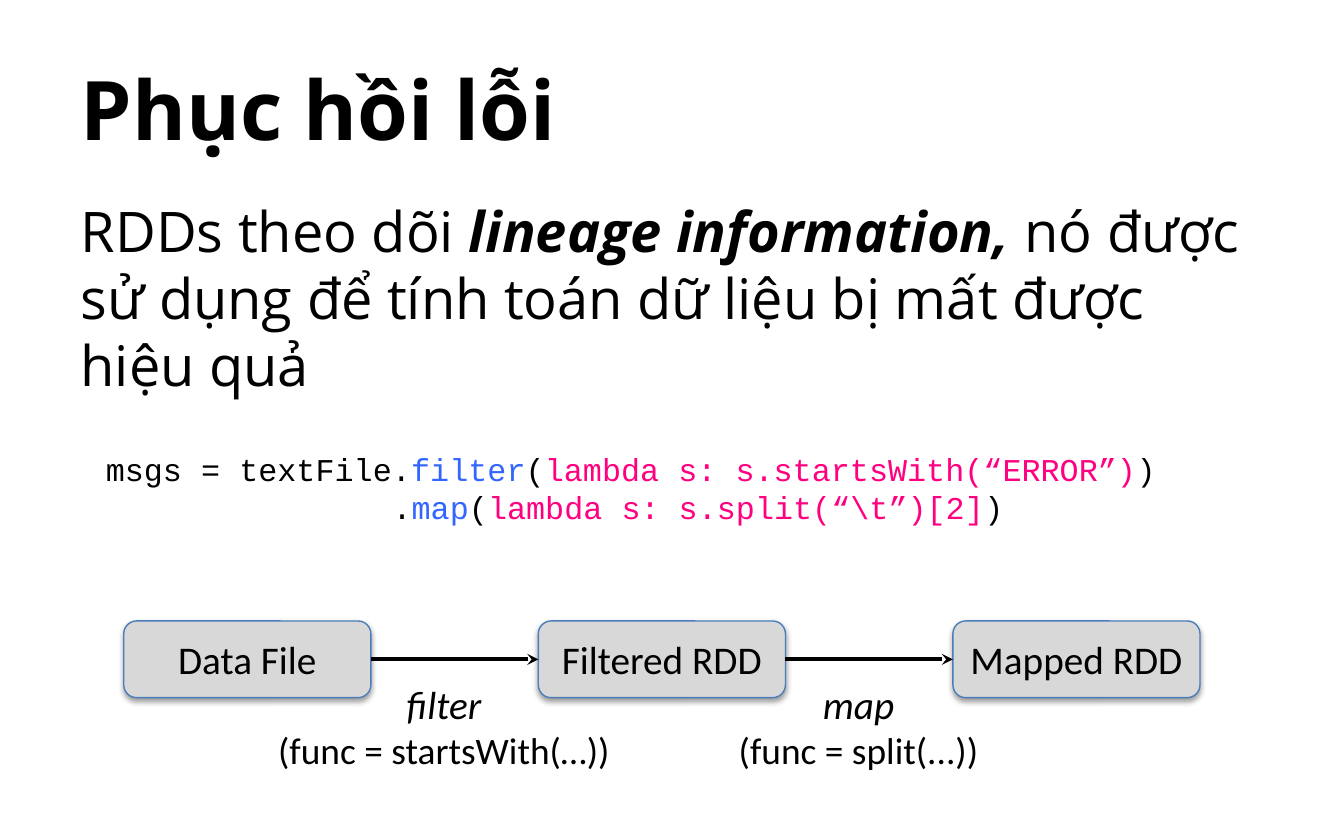
from pptx import Presentation
from pptx.dml.color import RGBColor as Rgb
from pptx.enum.shapes import MSO_CONNECTOR as Link, MSO_SHAPE as Form
from pptx.enum.text import MSO_ANCHOR as Anchor, MSO_AUTO_SIZE as Fit, PP_ALIGN as Align
from pptx.oxml import parse_xml
from pptx.oxml.ns import nsdecls
from pptx.util import Cm, Pt

BLACK, BLUE, PINK = "000000", "3366FF", "FF0080"


def color(code):
    return Rgb.from_string(code)


def style(run, size, face, code=BLACK, bold=False, slant=False):
    font = run.font
    font.size, font.name = Pt(size), face
    font.bold, font.italic = bold, slant
    font.color.rgb = color(code)


def place(shape, box):
    shape.left, shape.top, shape.width, shape.height = map(Cm, box)


def add_xml(node, tag, body=""):
    name = tag.split()[0]
    node.append(parse_xml(f"<a:{tag} {nsdecls('a')}>{body}</a:{name}>"))


def indent(para, left):
    props = para._p.get_or_add_pPr()
    props.set("marL", str(Cm(left)))
    props.set("indent", "0")
    return props


def add_title(slide, box):
    title = slide.shapes.title
    place(title, box)
    title.text_frame.text = "Phục hồi lỗi"
    title.text_frame.vertical_anchor = Anchor.MIDDLE
    para = title.text_frame.paragraphs[0]
    para.alignment = Align.LEFT
    style(para.runs[0], 44, "Open Sans", bold=True)


def add_body(slide, box):
    body = slide.placeholders[1]
    place(body, box)
    frame = body.text_frame
    frame.auto_size = Fit.NONE
    para = frame.paragraphs[0]
    para.space_before = Pt(0)
    add_xml(indent(para, 0), "buNone")
    parts = [
        ("RDDs theo dõi ", False),
        ("lineage information, ", True),
        ("nó được sử dụng để tính toán dữ liệu bị mất được hiệu quả", False),
    ]
    for text, strong in parts:
        run = para.add_run()
        run.text = text
        style(run, 30, "Open Sans", bold=strong, slant=strong)


def add_code(slide, box):
    frame = slide.shapes.add_textbox(*map(Cm, box)).text_frame
    frame.word_wrap = True
    lines = [
        (0, "msgs = textFile.", "filter", "lambda s: s.startsWith(“ERROR”)"),
        (5.42, ".", "map", "lambda s: s.split(“\\t”)[2]"),
    ]
    for row, (left, head, call, arg) in enumerate(lines):
        para = frame.add_paragraph() if row else frame.paragraphs[0]
        indent(para, left)
        parts = [(head, BLACK), (call, BLUE), ("(", BLACK), (arg, PINK), (")", BLACK)]
        for text, code in parts:
            run = para.add_run()
            run.text = text
            style(run, 17, "Courier New", code)


def add_node(slide, box, text):
    node = slide.shapes.add_shape(Form.ROUNDED_RECTANGLE, *map(Cm, box))
    node.fill.solid()
    node.fill.fore_color.rgb = color("D8D8D8")
    node.line.color.rgb = color("4A7DBA")
    node.line.width = Pt(0.75)
    node.shadow.inherit = False
    glow = node._element.spPr.find("{*}effectLst")
    add_xml(glow, 'outerShdw blurRad="40000" dist="20000" dir="5400000" rotWithShape="0"',
            f'<a:srgbClr val="{BLACK}"><a:alpha val="38000"/></a:srgbClr>')
    frame = node.text_frame
    frame.margin_left = frame.margin_right = 0
    frame.vertical_anchor = Anchor.MIDDLE
    frame.text = text
    para = frame.paragraphs[0]
    para.alignment = Align.CENTER
    style(para.runs[0], 21, "Calibri")
    return node


def add_arrow(slide, start, end):
    arrow = slide.shapes.add_connector(Link.STRAIGHT, 0, 0, 0, 0)
    arrow.begin_connect(start, 3)
    arrow.end_connect(end, 1)
    arrow.line.color.rgb = color(BLACK)
    arrow.line.width = Pt(2)
    add_xml(arrow.line._get_or_add_ln(), 'tailEnd type="stealth"')
    add_xml(arrow._element.spPr, "effectLst")


def add_label(slide, box, name, func):
    frame = slide.shapes.add_textbox(*map(Cm, box)).text_frame
    frame.word_wrap = True
    frame.text = f"{name}\v{func}"
    para = frame.paragraphs[0]
    para.alignment = Align.CENTER
    first, second = para.runs
    style(first, 21, "Calibri", slant=True)
    style(second, 20, "Calibri")


def add_flow(slide, box):
    left, top, width, high = box
    wide, tall = 4.67, 1.45
    names = ["Data File", "Filtered RDD", "Mapped RDD"]
    step = (width - wide) / (len(names) - 1)
    nodes = [add_node(slide, (left + i * step, top, wide, tall), name)
             for i, name in enumerate(names)]
    for start, end in zip(nodes, nodes[1:]):
        add_arrow(slide, start, end)
    labels = [("filter", "(func = startsWith(…))", 6.94), ("map", "(func = split(...))", 5.1)]
    for i, (name, func, span) in enumerate(labels):
        mid = left + wide / 2 + (i + 0.5) * step - 0.2
        add_label(slide, (mid - span / 2, top + 1, span, high - 1), name, func)


def main():
    deck = Presentation()
    deck.slide_width, deck.slide_height = Cm(25.4), Cm(15.88)
    slide = deck.slides.add_slide(deck.slide_layouts[1])
    add_title(slide, (1.27, 0.71, 22.86, 2.64))
    add_body(slide, (1.27, 3.58, 23.06, 9.65))
    add_code(slide, (1.75, 8.38, 22.86, 1.7))
    add_flow(slide, (2.34, 11.74, 20.34, 3))
    deck.save("out.pptx")


if __name__ == "__main__":
    main()
